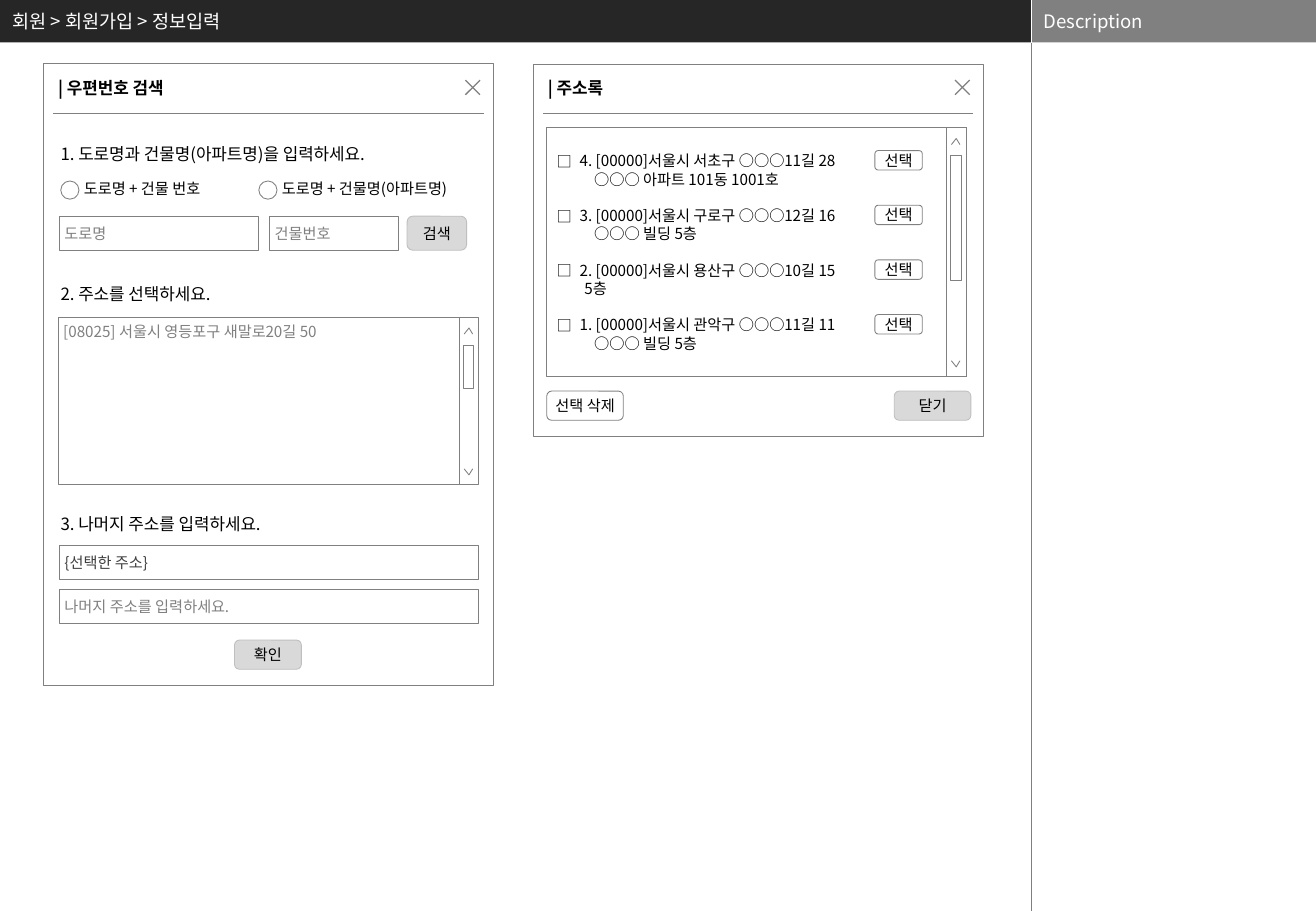
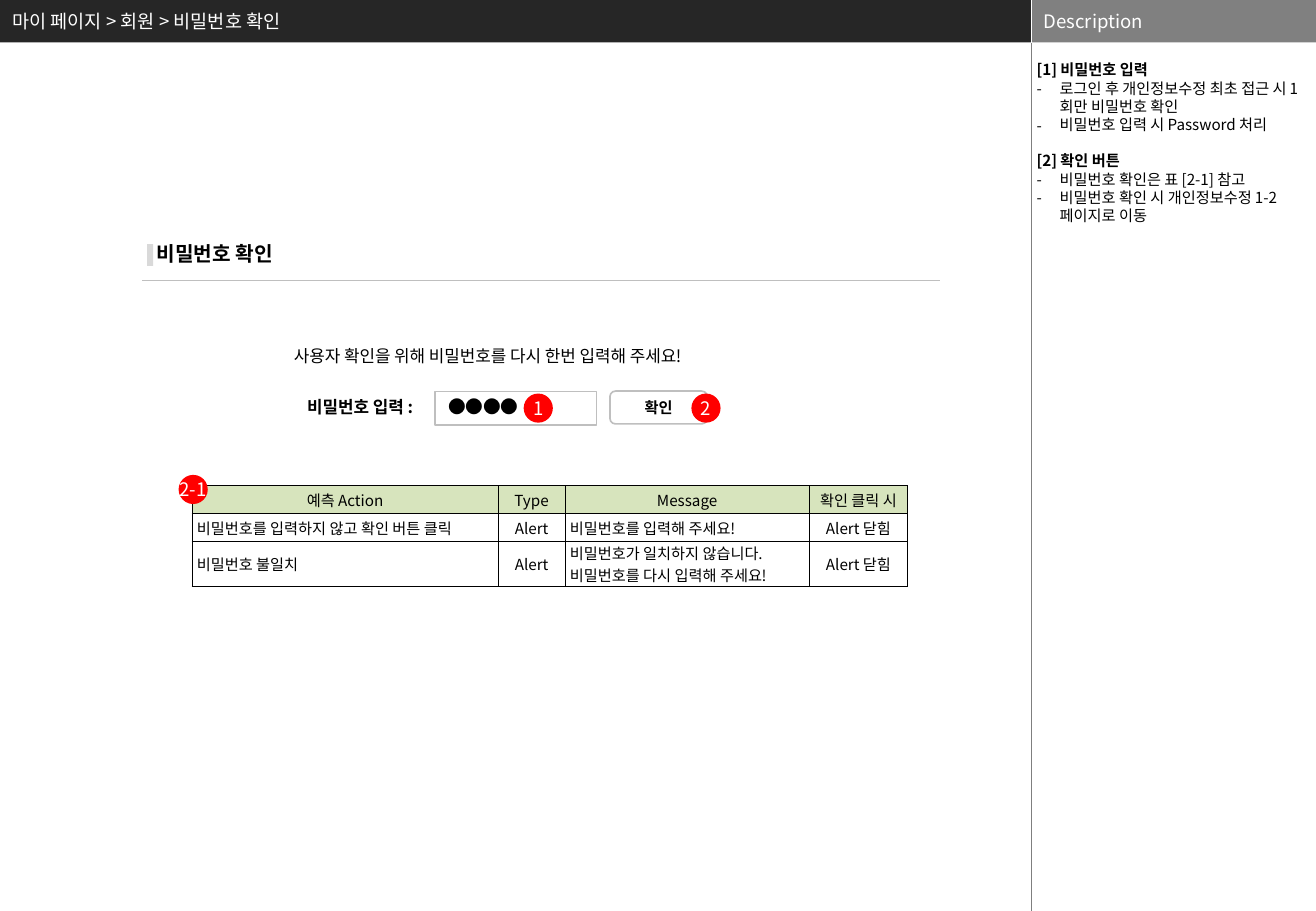
from lxml.etree import SubElement
from pptx import Presentation
from pptx.dml.color import RGBColor
from pptx.enum.shapes import MSO_CONNECTOR, MSO_SHAPE
from pptx.enum.text import MSO_ANCHOR, MSO_AUTO_SIZE, PP_ALIGN
from pptx.oxml.ns import qn
from pptx.util import Pt

SCALE = 9144  # EMU per px, 100 px to the inch
FONT = "Noto Sans CJK KR"
COLORS = {
    "black": "000000", "white": "FFFFFF", "header": "262626", "gray": "808080",
    "divider": "7F7F7F", "dark": "404040", "button": "D9D9D9", "edge": "BFBFBF",
    "red": "FF0000", "green": "D7E4BD",
}
RECT, ROUND, OVAL = MSO_SHAPE.RECTANGLE, MSO_SHAPE.ROUNDED_RECTANGLE, MSO_SHAPE.OVAL
LINE_HEIGHT = 1.2
WIDTH, HEIGHT, SIDE, BAND = 1083, 750, 849, 35

# Content: address popups
SIGNUP_TITLE = "회원 > 회원가입 > 정보입력"
PANELS = [("| 우편번호 검색", 36, 52, 512), ("| 주소록", 439, 53, 306)]
STEPS = [("1. 도로명과 건물명(아파트명)을 입력하세요.", 113),
         ("2. 주소를 선택하세요.", 229),
         ("3. 나머지 주소를 입력하세요.", 418)]
OPTIONS = [("도로명 + 건물 번호", 50), ("도로명 + 건물명(아파트명)", 213)]
FIELDS = [("도로명", 49, 178, 164, "gray"), ("건물번호", 222, 178, 106, "gray"),
          ("{선택한 주소}", 49, 449, 345, "dark"),
          ("나머지 주소를 입력하세요.", 49, 485, 345, "gray")]
FOUND_ADDRESS = "[08025] 서울시 영등포구 새말로20길 50"
BUTTONS = [("검색", 335, 178, 49, 28, "button"), ("확인", 193, 527, 55, 24, "button"),
           ("닫기", 736, 322, 63, 24, "button"), ("선택 삭제", 450, 322, 63, 24, None)]
ADDRESSES = [("4. [00000]서울시 서초구 ○○○11길 28", "○○○ 아파트 101동 1001호", 31),
             ("3. [00000]서울시 구로구 ○○○12길 16", "○○○ 빌딩 5층", 31),
             ("2. [00000]서울시 용산구 ○○○10길 15", "5층", 23),
             ("1. [00000]서울시 관악구 ○○○11길 11", "○○○ 빌딩 5층", 31)]

# Content: password check
PASSWORD_TITLE = "마이 페이지 > 회원 > 비밀번호 확인"
DESCRIPTION = [
    ("[1] 비밀번호 입력", ["로그인 후 개인정보수정 최초 접근 시 1회만 비밀번호 확인",
                     "비밀번호 입력 시 Password 처리"]),
    ("[2] 확인 버튼", ["비밀번호 확인은 표 [2-1] 참고",
                   "비밀번호 확인 시 개인정보수정 1-2페이지로 이동"]),
]
LABELS = [("비밀번호 확인", 119, 194, 12, True),
          ("사용자 확인을 위해 비밀번호를 다시 한번 입력해 주세요!", 232, 280, 10, False),
          ("비밀번호 입력 :", 243, 322, 10, True),
          ("●●●●", 359, 321, 10.5, False)]
BADGES = [("1", 431, 324), ("2", 569, 324), ("2-1", 147, 391)]
ACTION_COLUMNS, ACTION_ROWS = [252, 55, 201, 81], [23, 23, 37]
ACTIONS = [
    ["예측 Action", "Type", "Message", "확인 클릭 시"],
    ["비밀번호를 입력하지 않고 확인 버튼 클릭", "Alert", "비밀번호를 입력해 주세요!", "Alert 닫힘"],
    ["비밀번호 불일치", "Alert", "비밀번호가 일치하지 않습니다.\n비밀번호를 다시 입력해 주세요!", "Alert 닫힘"],
]


def px(*lengths):
    return [round(length * SCALE) for length in lengths]


def rgb(name):
    return RGBColor.from_string(COLORS[name])


def write_text(frame, paragraphs, size=9, color="black", bold=False, align=PP_ALIGN.LEFT,
               anchor=MSO_ANCHOR.TOP, insets=(10, 5, 10, 5), wrap=True, spacing=LINE_HEIGHT):
    """Fill a frame; each paragraph is a string or a dict with its own format."""
    frame.word_wrap = wrap
    frame.auto_size = MSO_AUTO_SIZE.NONE
    frame.vertical_anchor = anchor
    frame.margin_left, frame.margin_top, frame.margin_right, frame.margin_bottom = px(*insets)
    if isinstance(paragraphs, str):
        paragraphs = [{"text": paragraphs}]
    for index, item in enumerate(paragraphs):
        paragraph = frame.add_paragraph() if index else frame.paragraphs[0]
        paragraph.text = item["text"]
        properties = paragraph._p.get_or_add_pPr()
        left, hanging = px(item.get("left", 0), item.get("hanging", 0))
        properties.set("marL", str(left))
        properties.set("indent", str(-hanging))
        if "bullet" in item:
            SubElement(properties, qn("a:buFont"), typeface=FONT)
            SubElement(properties, qn("a:buChar"), char=item["bullet"])
        else:
            SubElement(properties, qn("a:buNone"))
        paragraph.alignment = align
        paragraph.line_spacing = Pt(round(size * spacing, 1))
        paragraph.space_before = Pt(item.get("before", 0))
        paragraph.space_after = Pt(0)
        for run in paragraph.runs:
            run.font.name, run.font.size = FONT, Pt(size)
            run.font.bold = item.get("bold", bold)
            run.font.color.rgb = rgb(color)
            SubElement(run._r.get_or_add_rPr(), qn("a:ea"), typeface=FONT)


def paint(shape, fill=None, line=None, weight=0.5):
    shape.shadow.inherit = False
    if fill:
        shape.fill.solid()
        shape.fill.fore_color.rgb = rgb(fill)
    else:
        shape.fill.background()
    if line:
        shape.line.color.rgb = rgb(line)
        shape.line.width = Pt(weight)
    else:
        shape.line.fill.background()
    return shape


def add_box(slide, kind, left, top, width, height, fill=None, line=None, weight=0.5,
            text=None, **text_format):
    shape = slide.shapes.add_shape(kind, *px(left, top, width, height))
    paint(shape, fill, line, weight)
    if text:
        text_format = {"anchor": MSO_ANCHOR.MIDDLE, "insets": (4, 4, 4, 4), **text_format}
        write_text(shape.text_frame, text, **text_format)
    return shape


def add_button(slide, text, left, top, width, height, fill=None, line=None, **text_format):
    line = line or ("edge" if fill else "gray")
    add_box(slide, ROUND, left, top, width, height, fill, line, text=text,
            align=PP_ALIGN.CENTER, **text_format)


def add_label(slide, text, left, top, width=320, height=27, **text_format):
    box = slide.shapes.add_textbox(*px(left, top, width, height))
    write_text(box.text_frame, text, **text_format)
    return box


def add_line(slide, x1, y1, x2, y2, color, weight):
    line = slide.shapes.add_connector(MSO_CONNECTOR.STRAIGHT, *px(x1, y1, x2, y2))
    line.line.color.rgb = rgb(color)
    line.line.width = Pt(weight)
    SubElement(line.element.spPr, qn("a:effectLst"))
    return line


def add_strokes(slide, strokes, weight):
    builder = slide.shapes.build_freeform(*strokes[0][0], scale=SCALE)
    for start, *points in strokes:
        builder.move_to(*start)
        builder.add_line_segments(points, close=False)
    paint(builder.convert_to_shape(), line="gray", weight=weight)


def add_panel(slide, title, left, top, height):
    add_box(slide, RECT, left, top, 370, height, line="gray")
    add_label(slide, title, left + 2, 59, size=10, bold=True)
    add_line(slide, left + 8, 93, left + 362, 93, "gray", 0.5)
    x1, x2, y1, y2 = left + 347, left + 359, 66, 78
    add_strokes(slide, [[(x2, y1), (x1, y2)], [(x1, y1), (x2, y2)]], 0.75)


def add_scrollbar(slide, left, top, height, thumb):
    add_box(slide, RECT, left, top, 16, height, "white", "gray")
    add_box(slide, RECT, left + 3, top + 23, 9, thumb, "white", "gray")
    for base, tip in [(top + 14, top + 9), (top + height - 13, top + height - 8)]:
        add_strokes(slide, [[(left + 4, base), (left + 8, tip), (left + 11, base)]], 0.5)


def place(shape, left, top, width, height):
    shape.left, shape.top, shape.width, shape.height = px(left, top, width, height)


def prepare_layout(layout, slide):
    """Move the shared bands to the layout and place its title and body."""
    for placeholder in list(layout.placeholders):
        if placeholder.placeholder_format.idx > 1:
            layout.shapes.element.remove(placeholder.element)
    title, body = layout.placeholders
    place(title, 0, 0, 825, BAND)
    place(body, SIDE, 50, WIDTH - SIDE, HEIGHT - 50)
    bands = [
        add_box(slide, RECT, 0, 0, SIDE, BAND, "header"),
        add_box(slide, RECT, SIDE, 0, WIDTH - SIDE, BAND, "gray", text="Description", size=11,
                color="white", insets=(10, 5, 10, 6)),
        add_line(slide, SIDE, 0, SIDE, BAND, "white", 0.25),
        add_line(slide, SIDE, BAND, SIDE, HEIGHT, "divider", 0.25),
    ]
    for band in bands:
        layout.shapes.element.append(band.element)


def write_title(slide, text):
    write_text(slide.shapes.title.text_frame, text, size=11, color="white",
               anchor=MSO_ANCHOR.MIDDLE)


def build_address_slide(slide):
    write_title(slide, SIGNUP_TITLE)
    body = slide.placeholders[1]
    body.element.getparent().remove(body.element)
    for panel in PANELS:
        add_panel(slide, *panel)

    # Postcode search
    for text, top in STEPS:
        add_label(slide, text, 40, top, size=10)
    for text, left in OPTIONS:
        add_box(slide, OVAL, left, 149, 15, 15, "white", "gray")
        add_label(slide, text, left + 11, 144, 180, 23, anchor=MSO_ANCHOR.MIDDLE,
                  insets=(8, 4, 8, 4))
    for text, left, top, width, color in FIELDS:
        add_box(slide, RECT, left, top, width, 28, "white", "gray", text=text, color=color)
    add_box(slide, RECT, 48, 261, 339, 138, line="gray", color="gray", anchor=MSO_ANCHOR.TOP,
            text=FOUND_ADDRESS)
    add_scrollbar(slide, 378, 261, 138, 36)

    # Address book, with checkboxes as hanging bullets
    lines = []
    for index, (street, detail, indent) in enumerate(ADDRESSES):
        gap = 9 * LINE_HEIGHT if index else 0
        lines.append({"text": street, "bullet": "□", "left": 19, "hanging": 19, "before": gap})
        lines.append({"text": detail, "left": indent})
        add_button(slide, "선택", 720, 124 + 45 * index, 39, 16, wrap=False)
    add_box(slide, RECT, 450, 105, 345, 205, line="gray", text=lines, insets=(8, 4, 4, 4))
    add_scrollbar(slide, 779, 105, 205, 103)
    for button in BUTTONS:
        add_button(slide, *button)


def add_action_table(slide, left, top):
    frame = slide.shapes.add_table(len(ACTION_ROWS), len(ACTION_COLUMNS),
                                   *px(left, top, sum(ACTION_COLUMNS), sum(ACTION_ROWS)))
    table = frame.table
    table.first_row = table.horz_banding = False
    for column, width in zip(table.columns, px(*ACTION_COLUMNS)):
        column.width = width
    for row_index, (row, height) in enumerate(zip(table.rows, px(*ACTION_ROWS))):
        row.height = height
        for column_index, cell in enumerate(row.cells):
            centered = row_index == 0 or column_index % 2
            write_text(cell.text_frame, ACTIONS[row_index][column_index], spacing=1.44,
                       align=PP_ALIGN.CENTER if centered else PP_ALIGN.LEFT)
            cell.vertical_anchor = MSO_ANCHOR.MIDDLE
            cell.margin_left, cell.margin_top, cell.margin_right, cell.margin_bottom = px(4, 0, 4, 0)
            properties = cell._tc.get_or_add_tcPr()
            for side in ("lnL", "lnR", "lnT", "lnB"):
                border = SubElement(properties, qn(f"a:{side}"), w=str(Pt(0.5)))
                fill = SubElement(border, qn("a:solidFill"))
                SubElement(fill, qn("a:srgbClr"), val=COLORS["black"])
            if row_index == 0:
                cell.fill.solid()
                cell.fill.fore_color.rgb = rgb("green")
            else:
                cell.fill.background()


def build_password_slide(slide):
    write_title(slide, PASSWORD_TITLE)
    notes = []
    for heading, items in DESCRIPTION:
        gap = 9 * LINE_HEIGHT if notes else 0
        notes.append({"text": heading, "bold": True, "before": gap})
        notes += [{"text": item, "bullet": "-", "left": 19, "hanging": 19} for item in items]
    write_text(slide.placeholders[1].text_frame, notes, insets=(4, 0, 4, 0))

    # Password form
    add_box(slide, RECT, 121, 201, 5, 18, "button")
    add_line(slide, 117, 231, 774, 231, "edge", 0.75)
    add_box(slide, RECT, 358, 322, 133, 28, "white", "edge", 0.75)
    add_button(slide, "확인", 502, 322, 80, 27, "white", "edge", weight=1, bold=True)
    for text, left, top, size, bold in LABELS:
        add_label(slide, text, left, top, 381, size=size, bold=bold)

    # Result table and numbered badges
    add_action_table(slide, 158, 400)
    for text, left, top in BADGES:
        add_box(slide, OVAL, left, top, 24, 24, "red", text=text, size=11, color="white",
                align=PP_ALIGN.CENTER, insets=(0, 0, 0, 0), wrap=False)


def main():
    presentation = Presentation()
    presentation.slide_width, presentation.slide_height = px(WIDTH, HEIGHT)
    layout = presentation.slide_layouts[1]
    for index, build in enumerate([build_address_slide, build_password_slide]):
        slide = presentation.slides.add_slide(layout)
        if index == 0:
            prepare_layout(layout, slide)
        build(slide)
    presentation.save("out.pptx")


if __name__ == "__main__":
    main()
